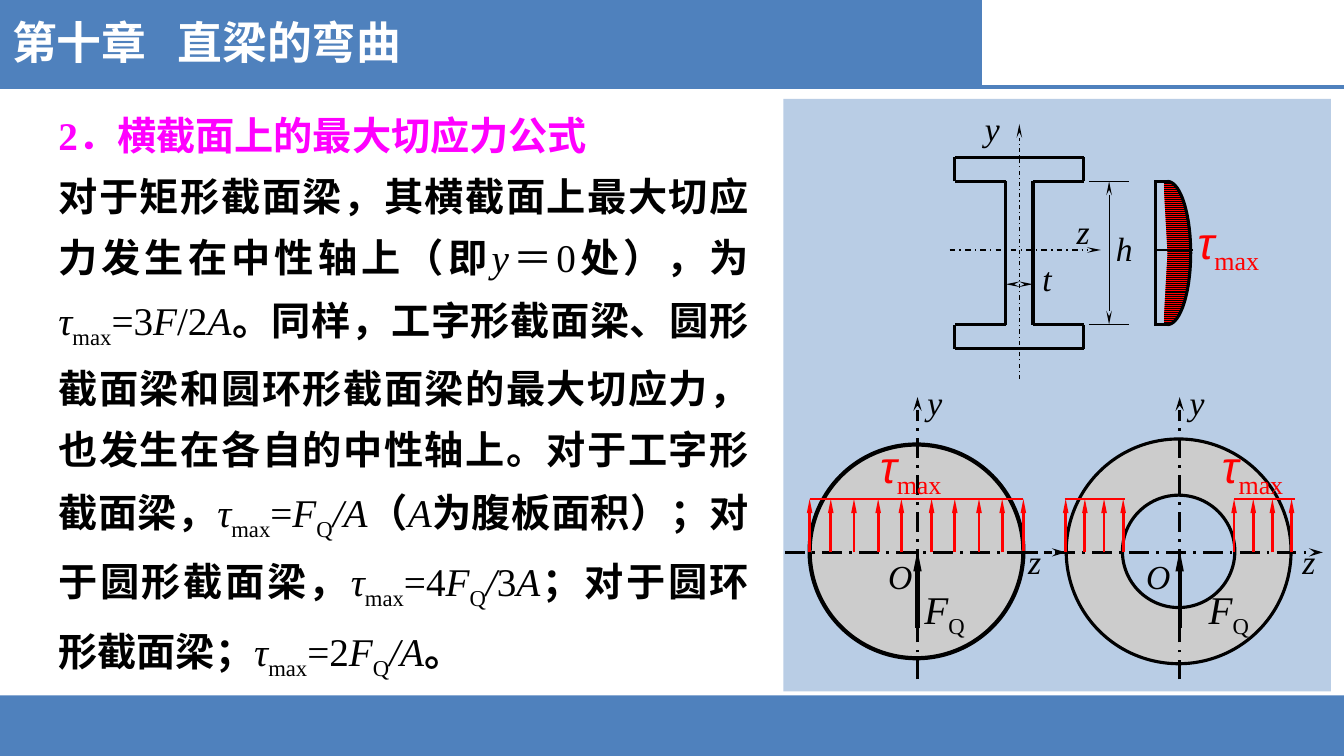
import math

from lxml import etree
from pptx import Presentation
from pptx.dml.color import RGBColor
from pptx.enum.dml import MSO_LINE, MSO_PATTERN
from pptx.enum.shapes import MSO_CONNECTOR, MSO_SHAPE
from pptx.enum.text import MSO_ANCHOR, MSO_AUTO_SIZE, PP_ALIGN
from pptx.oxml.ns import qn
from pptx.util import Inches, Pt

BLUE = RGBColor(0x4F, 0x81, 0xBD)
PALE_BLUE = RGBColor(0xB9, 0xCD, 0xE5)
GREY = RGBColor(0xCC, 0xCC, 0xCC)
BLACK = RGBColor(0, 0, 0)
WHITE = RGBColor(0xFF, 0xFF, 0xFF)
RED = RGBColor(0xFF, 0, 0)
MAGENTA = RGBColor(0xFF, 0, 0xFF)
SERIF, SANS, CHINESE = "Times New Roman", "Arial", "Noto Sans CJK SC"

RECTANGLE, OVAL, DONUT = MSO_SHAPE.RECTANGLE, MSO_SHAPE.OVAL, MSO_SHAPE.DONUT
DASH_DOT, LONG_DASH_DOT = MSO_LINE.DASH_DOT, MSO_LINE.LONG_DASH_DOT

# Run styles: b bold, i italic, s subscript
TAU_MAX = [("τ", "i"), ("max", "s")]
SHEAR_FORCE = [("F", "i"), ("Q", "s")]
HEADING = "2．横截面上的最大切应力公式"
EXPLANATION = [
    ("对于矩形截面梁，其横截面上最大切应力发生在中性轴上（即", "b"),
    ("y", "i"), ("＝0", ""), ("处），为", "b"),
    *TAU_MAX, ("=3", ""), ("F", "i"), ("/2", ""), ("A", "i"),
    ("。同样，工字形截面梁、圆形截面梁和圆环形截面梁的最大切应力，"
     "也发生在各自的中性轴上。对于工字形截面梁，", "b"),
    *TAU_MAX, ("=", ""), *SHEAR_FORCE, ("/A", "i"),
    ("（", "b"), ("A", "i"), ("为腹板面积）；对于圆形截面梁，", "b"),
    *TAU_MAX, ("=4", ""), *SHEAR_FORCE, ("/", "i"), ("3", ""), ("A", "i"),
    ("；对于圆环形截面梁；", "b"),
    *TAU_MAX, ("=2", ""), *SHEAR_FORCE, ("/A", "i"), ("。", "b"),
]


def add_run(paragraph, text, style, size, color, font_name=SERIF):
    run = paragraph.add_run()
    run.text = text
    font = run.font
    font.size, font.name = Pt(size), font_name
    font.bold, font.italic = "b" in style, "i" in style
    font.color.rgb = color
    properties = run._r.get_or_add_rPr()
    if "s" in style:
        properties.set("baseline", "-25000")
    latin = properties.find(qn("a:latin"))
    latin.addnext(etree.Element(qn("a:ea"), typeface=CHINESE))


def add_label(slide, left, top, runs, size=24, color=BLACK, width=0.7, first_font=SERIF):
    box = slide.shapes.add_textbox(Inches(left), Inches(top), Inches(width), Inches(0.6))
    box.text_frame.word_wrap = True
    paragraph = box.text_frame.paragraphs[0]
    for index, (text, style) in enumerate(runs):
        add_run(paragraph, text, style, size, color, SERIF if index else first_font)


def add_tau_label(slide, left, top):
    add_label(slide, left, top, TAU_MAX, 32, RED, 0.91, SANS)


def add_filled_shape(slide, kind, left, top, width, height, color, line_width=None):
    shape = slide.shapes.add_shape(kind, Inches(left), Inches(top), Inches(width), Inches(height))
    shape.shadow.inherit = False
    shape.fill.solid()
    shape.fill.fore_color.rgb = color
    if line_width:
        shape.line.color.rgb = BLACK
        shape.line.width = Pt(line_width)
    else:
        shape.line.fill.background()
    return shape


def add_line(slide, start, end, width, color=BLACK, dash=None, head=None, tail=None,
             arrow_width="sm"):
    line = slide.shapes.add_connector(MSO_CONNECTOR.STRAIGHT, *map(Inches, start + end))
    line.line.color.rgb = color
    line.line.width = Pt(width)
    if dash:
        line.line.dash_style = dash
    outline = line.line._get_or_add_ln()
    for tag, arrowhead in (("a:headEnd", head), ("a:tailEnd", tail)):
        if arrowhead:
            etree.SubElement(outline, qn(tag), type=arrowhead, w=arrow_width, len="lg")
    etree.SubElement(line._element.spPr, qn("a:effectLst"))


def add_outline(slide, points, close):
    """Draw a black polyline without fill and return its shape."""
    corners = [(Inches(x), Inches(y)) for x, y in points]
    builder = slide.shapes.build_freeform(*corners[0])
    builder.add_line_segments(corners[1:], close=close)
    shape = builder.convert_to_shape()
    shape.shadow.inherit = False
    shape.fill.background()
    shape.line.color.rgb = BLACK
    shape.line.width = Pt(2.25)
    return shape


def prepare_placeholder(slide, placeholder, left, top, width, height):
    """Move a placeholder above the bars and return its text frame."""
    slide.shapes._spTree.append(placeholder._element)
    placeholder.left, placeholder.top = Inches(left), Inches(top)
    placeholder.width, placeholder.height = Inches(width), Inches(height)
    frame = placeholder.text_frame
    frame.word_wrap = True
    frame.auto_size = MSO_AUTO_SIZE.NONE
    frame.vertical_anchor = MSO_ANCHOR.TOP
    return frame


def draw_frame(slide):
    add_filled_shape(slide, RECTANGLE, 0, 6.9, 13.33, 0.6, BLUE)
    add_filled_shape(slide, RECTANGLE, 0, 0, 9.74, 0.86, BLUE)
    add_line(slide, (0, 0.86), (13.33, 0.86), 3, BLUE)


def write_title(slide, left, top, width, height):
    frame = prepare_placeholder(slide, slide.shapes.title, left, top, width, height)
    paragraph = frame.paragraphs[0]
    paragraph.alignment = PP_ALIGN.LEFT
    tabs = etree.SubElement(paragraph._p.get_or_add_pPr(), qn("a:tabLst"))
    etree.SubElement(tabs, qn("a:tab"), pos=str(Inches(1.64)), algn="l")
    add_run(paragraph, "第十章\t直梁的弯曲", "b", 32, WHITE, CHINESE)


def write_body(slide, left, top, width, height):
    frame = prepare_placeholder(slide, slide.placeholders[1], left, top, width, height)
    contents = (([(HEADING, "b")], MAGENTA, PP_ALIGN.LEFT),
                (EXPLANATION, BLACK, PP_ALIGN.JUSTIFY))
    for index, (runs, color, alignment) in enumerate(contents):
        paragraph = frame.add_paragraph() if index else frame.paragraphs[0]
        properties = paragraph._p.get_or_add_pPr()
        for name in ("marL", "indent", "hangingPunct"):
            properties.set(name, "0")
        etree.SubElement(properties, qn("a:buNone"))
        paragraph.alignment = alignment
        paragraph.line_spacing = 1.3
        paragraph.space_before = Pt(0)
        for text, style in runs:
            add_run(paragraph, text, style, 28, color)


def draw_i_section(slide, x, y):
    """Draw the I-section centred at (x, y) with its stress diagram on the right."""
    flange, web, outer, inner = 0.64, 0.135, 0.95, 0.71
    axis_y = y - 0.03
    add_line(slide, (x - 0.69, axis_y), (x + 0.81, axis_y), 1, dash=DASH_DOT, tail="stealth")
    add_line(slide, (x, y + 1.25), (x, y - 1.28), 0.75, dash=DASH_DOT, tail="stealth")
    for text, across, down in (("z", 0.47, -0.47), ("y", -0.44, -1.49),
                               ("t", 0.13, 0), ("h", 0.86, -0.3)):
        add_label(slide, x + across, y + down, [(text, "i")], width=0.58)
    for side in (-1, 1):
        outer_y, inner_y = y + side * outer, y + side * inner
        add_line(slide, (x - flange, outer_y), (x + flange, outer_y), 2.25)
        for edge in (-1, 1):
            flange_x = x + edge * flange
            add_line(slide, (flange_x, inner_y), (flange_x, outer_y), 2.25)
            add_line(slide, (x + edge * web, inner_y), (flange_x, inner_y), 2.25)
        add_line(slide, (x + side * web, y - inner), (x + side * web, y + inner), 2.25)
        add_line(slide, (x + 0.69, inner_y), (x + 1.09, inner_y), 0.75)
    add_line(slide, (x - web, y + 0.31), (x + web, y + 0.31), 0.5, head="stealth", tail="stealth")
    add_line(slide, (x + 0.89, y - inner), (x + 0.89, y + inner), 0.5,
             head="stealth", tail="stealth")
    draw_parabolic_stress(slide, x + 1.35, y, inner)


def draw_parabolic_stress(slide, x, y, half_height):
    angles = [math.radians(degree) for degree in range(-90, 91, 5)]
    curve = [(x + 0.12 + 0.23 * math.cos(angle), y + half_height * math.sin(angle))
             for angle in angles]
    area = add_outline(slide, [(x + 0.08, y - half_height), *curve,
                               (x + 0.08, y + half_height), (x + 0.12, y)], True)
    area.line.fill.background()
    area.fill.patterned()
    area.fill.pattern = MSO_PATTERN.LIGHT_HORIZONTAL
    area.fill.fore_color.rgb = BLACK
    area.fill.back_color.rgb = RED
    add_outline(slide, curve, False)
    add_line(slide, (x, y - half_height), (x, y + half_height), 2.25)
    for edge in (y - half_height, y + half_height):
        add_line(slide, (x - 0.01, edge), (x + 0.14, edge), 2.25)
    add_line(slide, (x - 0.01, y - 0.03), (x + 0.37, y - 0.03), 1.5)
    add_tau_label(slide, x + 0.32, y - 0.43)


def draw_round_section(slide, x, y, kind, diameter, line_width, z_axis, label_offsets,
                       arrow_offsets, bars):
    """Draw a section centred at (x, y); arrow offsets are mirrored about its y axis."""
    section = add_filled_shape(slide, kind, x - diameter / 2, y - diameter / 2,
                               diameter, diameter, GREY, line_width)
    if kind == DONUT:
        section.adjustments[0] = 0.25
    axis_x, axis_y, stress_y = x + 0.01, y + 0.01, y - 0.52
    for start, end in (((axis_x, y + 1.27), (axis_x, y - 1.53)),
                       ((x + z_axis[0], axis_y), (x + z_axis[1], axis_y))):
        add_line(slide, start, end, 1.75, dash=LONG_DASH_DOT, tail="stealth", arrow_width="med")
    z_offset, origin_offset, force_offset, tau_offset = label_offsets
    add_label(slide, axis_x, y - 1.73, [("y", "i")])
    add_label(slide, x + z_offset, y - 0.15, [("z", "i")])
    add_label(slide, x + origin_offset, y, [("O", "i")], width=0.53)
    add_label(slide, x + force_offset, y + 0.29, SHEAR_FORCE, 28)
    for offset in arrow_offsets:
        for arrow_x in (x - offset, x + offset):
            add_line(slide, (arrow_x, axis_y), (arrow_x, stress_y), 2, RED, tail="triangle")
    for start, end in bars:
        add_line(slide, (x + start, stress_y), (x + end, stress_y), 2, RED)
    add_tau_label(slide, x + tau_offset, y - 1.17)
    add_line(slide, (axis_x, y + 0.76), (axis_x, y - 0.01), 3, tail="triangle")


def draw_diagrams(slide, left, top, width, height):
    add_filled_shape(slide, RECTANGLE, left, top, width, height, PALE_BLUE)
    draw_i_section(slide, left + 2.34, top + 1.53)
    draw_round_section(slide, left + 1.32, top + 4.49, OVAL, 2.12, 3, (-1.3, 1.48),
                       (1.01, -0.38, -0.02, -0.46), (0.15, 0.38, 0.62, 0.85, 1.06),
                       [(-1.06, 1.06)])
    draw_round_section(slide, left + 3.92, top + 4.49, DONUT, 2.23, 2.25, (-1.59, 1.43),
                       (1.13, -0.42, 0.2, 0.33), [0.55 + 0.19 * step for step in range(4)],
                       [(-1.13, -0.53), (0.55, 1.15)])


def main():
    presentation = Presentation()
    presentation.slide_width, presentation.slide_height = Inches(13.33), Inches(7.5)
    slide = presentation.slides.add_slide(presentation.slide_layouts[1])
    draw_frame(slide)
    write_title(slide, 0.02, 0.1, 4.19, 0.64)
    draw_diagrams(slide, 7.77, 0.98, 5.43, 5.88)
    write_body(slide, 0.48, 0.91, 7.05, 5.61)
    presentation.save("out.pptx")


if __name__ == "__main__":
    main()
